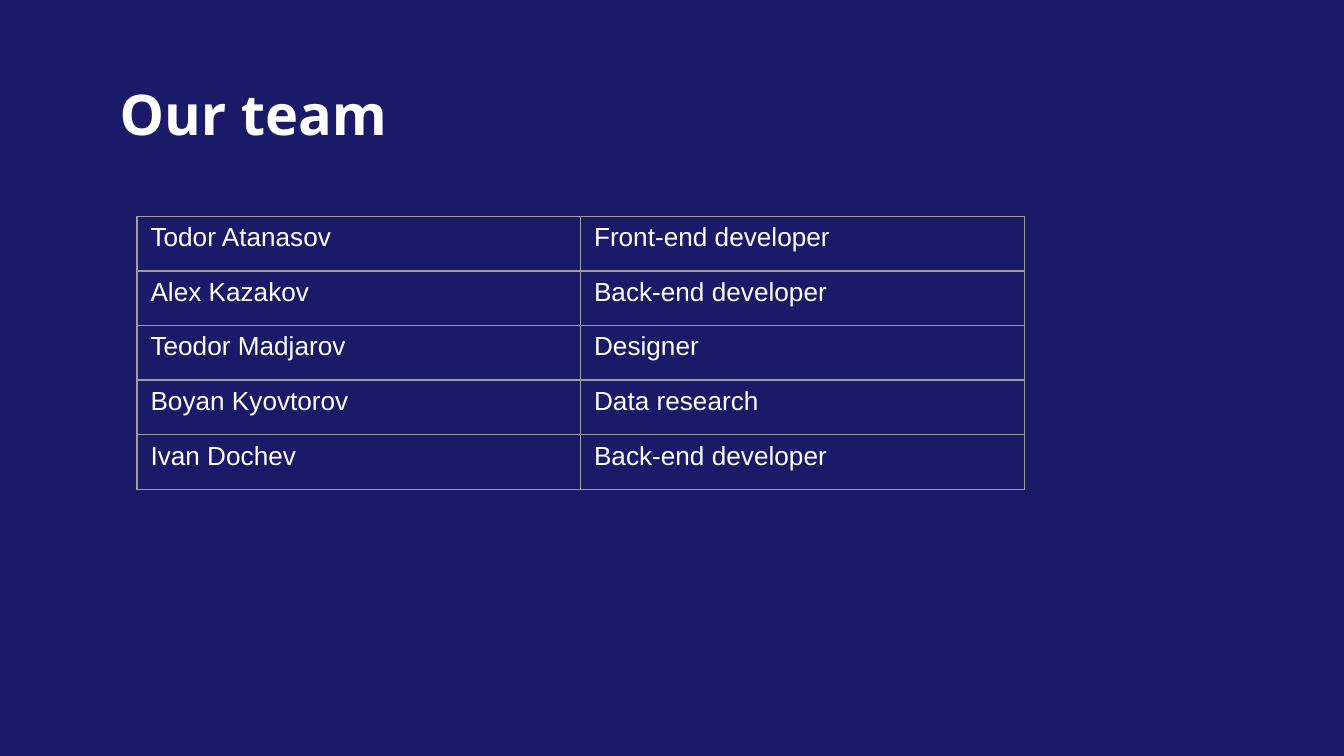
from lxml import etree
from pptx import Presentation
from pptx.dml.color import RGBColor
from pptx.enum.text import MSO_ANCHOR, MSO_AUTO_SIZE, PP_ALIGN
from pptx.oxml.ns import qn
from pptx.util import Inches, Pt

TOP, LEFT, NO_FIT = MSO_ANCHOR.TOP, PP_ALIGN.LEFT, MSO_AUTO_SIZE.NONE
TITLE_ONLY = 5
NAVY, WHITE, GREY = "1A1A69", "FFFFFF", "9E9E9E"
TEAM = [
    ("Todor Atanasov", "Front-end developer"),
    ("Alex Kazakov", "Back-end developer"),
    ("Teodor Madjarov", "Designer"),
    ("Boyan Kyovtorov", "Data research"),
    ("Ivan Dochev", "Back-end developer"),
]


def add_run(p, text, size, font, color=WHITE, bold=False):
    p.alignment = LEFT
    r = p.add_run()
    r.text = text
    r.font.size, r.font.name, r.font.bold = Pt(size), font, bold
    r.font.color.rgb = RGBColor.from_string(color)


def add_borders(cell, color, width):
    tcPr = cell._tc.get_or_add_tcPr()
    for i, side in enumerate(("a:lnL", "a:lnR", "a:lnT", "a:lnB")):
        ln = etree.Element(qn(side), w=str(Pt(width)))
        fill = etree.SubElement(ln, qn("a:solidFill"))
        etree.SubElement(fill, qn("a:srgbClr"), val=color)
        tcPr.insert(i, ln)  # borders come before the cell fill


# 16:9 slide
prs = Presentation()
prs.slide_width = Inches(10)
prs.slide_height = prs.slide_width * 9 // 16
s = prs.slides.add_slide(prs.slide_layouts[TITLE_ONLY])

# Background
s.background.fill.solid()
s.background.fill.fore_color.rgb = RGBColor.from_string(NAVY)

# Title
title = s.shapes.title
title.left, title.top = Inches(0.79), Inches(0.49)
title.width, title.height = Inches(8.43), Inches(0.63)
tf = title.text_frame
tf.auto_size, tf.vertical_anchor, tf.word_wrap = NO_FIT, TOP, True
tf.margin_left = tf.margin_right = Inches(0.1)
tf.margin_top = tf.margin_bottom = Inches(0.1)
add_run(tf.paragraphs[0], "Our team", 30, "Open Sans", bold=True)

# Team table: equal columns and rows
rows, cols = len(TEAM), len(TEAM[0])
table = s.shapes.add_table(rows, cols, Inches(1.02), Inches(1.61),
                           Inches(6.6), Inches(2.03)).table
table.first_row = table.horz_banding = False
for row, member in zip(table.rows, TEAM):
    for cell, text in zip(row.cells, member):
        cell.fill.background()
        cell.vertical_anchor = TOP
        cell.margin_left = cell.margin_right = Inches(0.1)
        cell.margin_top = cell.margin_bottom = Inches(0.05)
        add_run(cell.text_frame.paragraphs[0], text, 14, "Arial")
        add_borders(cell, GREY, 0.75)

prs.save("out.pptx")
